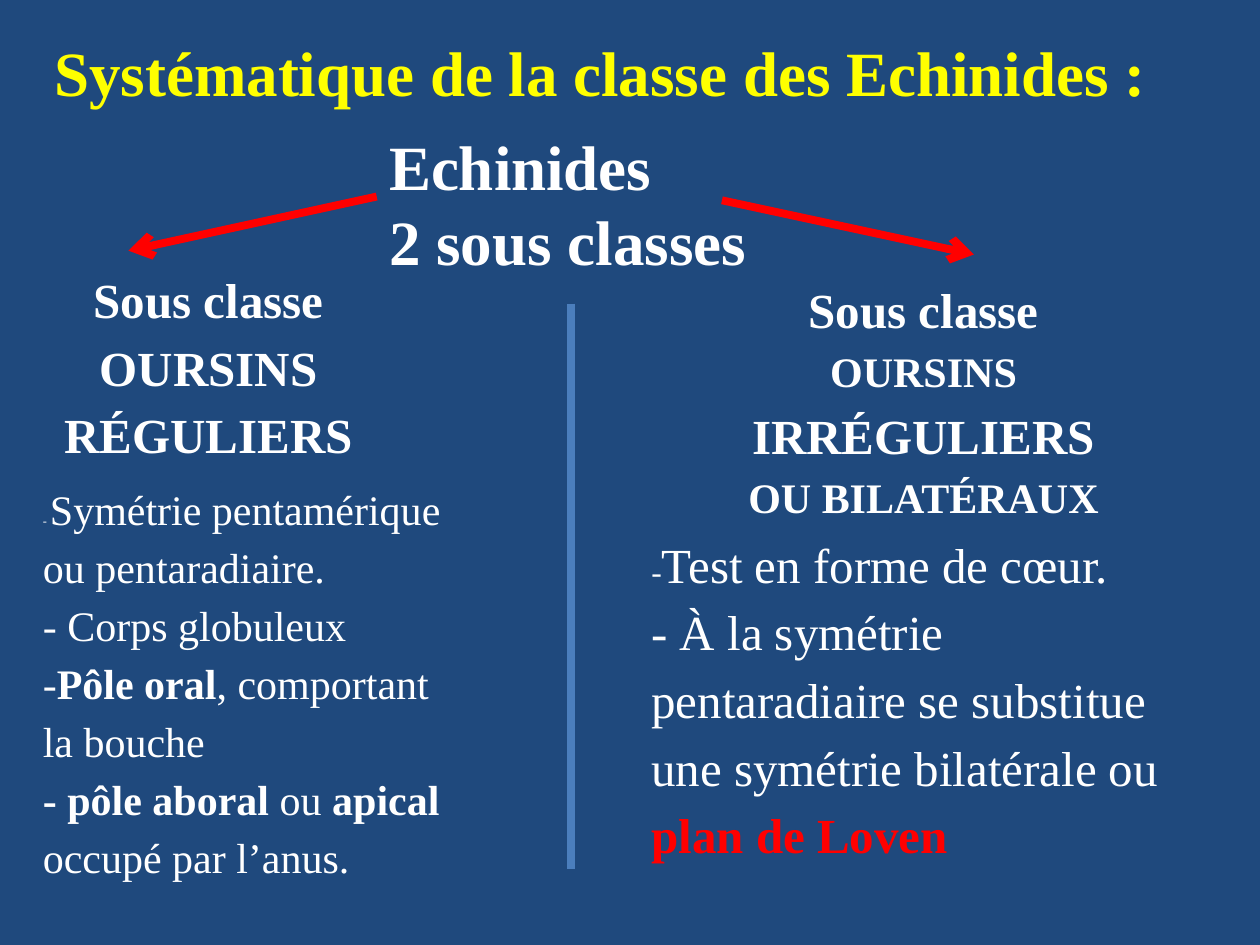
from dataclasses import dataclass

from lxml.etree import SubElement
from pptx import Presentation
from pptx.dml.color import RGBColor
from pptx.enum.shapes import MSO_CONNECTOR as Connector
from pptx.enum.text import MSO_ANCHOR as Anchor, MSO_AUTO_SIZE as AutoSize, PP_ALIGN as Align
from pptx.oxml.ns import qn
from pptx.util import Inches, Pt


@dataclass(frozen=True)
class Theme:
    font: str = "Times New Roman"
    background: RGBColor = RGBColor(0x1F, 0x49, 0x7D)
    text: RGBColor = RGBColor(0xFF, 0xFF, 0xFF)
    title: RGBColor = RGBColor(0xFF, 0xFF, 0x00)
    accent: RGBColor = RGBColor(0xFF, 0x00, 0x00)
    divider: RGBColor = RGBColor(0x4B, 0x7E, 0xBC)
    title_size: int = 36
    large: int = 28
    medium: int = 24
    dash: int = 18
    small_dash: int = 7
    line_width: float = 4.5
    spacing: float = 1.15


class SlideBuilder:
    def __init__(self, slide, theme):
        self.slide = slide
        self.theme = theme
        slide.background.fill.solid()
        slide.background.fill.fore_color.rgb = theme.background

    def fill_text(self, shape, bounds, paragraphs, size, color=None, bold=False,
                  align=Align.LEFT, spacing=1.0, anchor=Anchor.TOP):
        """Place a shape and fill it; each paragraph is a list of (text, font overrides) runs."""
        shape.left, shape.top, shape.width, shape.height = map(Inches, bounds)
        frame = shape.text_frame
        frame.word_wrap = True
        frame.auto_size = AutoSize.NONE
        frame.vertical_anchor = anchor
        for index, runs in enumerate(paragraphs):
            para = frame.add_paragraph() if index else frame.paragraphs[0]
            para.alignment = align
            para.line_spacing = spacing
            para.space_before = Pt(0)
            if shape.is_placeholder:
                properties = para._p.get_or_add_pPr()
                properties.set("marL", "0")
                properties.set("indent", "0")
                SubElement(properties, qn("a:buNone"))
            font = para.font
            font.name, font.size, font.bold = self.theme.font, Pt(size), bold
            font.color.rgb = color or self.theme.text
            for text, style in runs:
                span = para.add_run()
                span.text = text
                if "size" in style:
                    span.font.size = Pt(style["size"])
                if "bold" in style:
                    span.font.bold = style["bold"]
                if "color" in style:
                    span.font.color.rgb = style["color"]

    def title(self, bounds, text):
        self.fill_text(self.slide.shapes.title, bounds, [[(text, {})]], self.theme.title_size,
                       self.theme.title, True, anchor=Anchor.MIDDLE)

    def heading(self, bounds, paragraphs, size, **style):
        box = self.slide.shapes.add_textbox(*map(Inches, bounds))
        self.fill_text(box, bounds, paragraphs, size, bold=True, **style)

    def body(self, index, bounds, paragraphs, size):
        self.fill_text(self.slide.placeholders[index], bounds, paragraphs, size,
                       spacing=self.theme.spacing)

    def line(self, start, end, color, arrow=False):
        line = self.slide.shapes.add_connector(
            Connector.STRAIGHT, *map(Inches, (*start, *end)))
        line.line.color.rgb = color
        line.line.width = Pt(self.theme.line_width)
        if arrow:
            outline = line._element.spPr.find(qn("a:ln"))
            SubElement(outline, qn("a:tailEnd"), type="arrow")
        SubElement(line._element.spPr, qn("a:effectLst"))


def main():
    theme = Theme()
    deck = Presentation()
    deck.slide_width, deck.slide_height = Inches(10), Inches(7.5)
    two_content = deck.slide_layouts[3]
    page = SlideBuilder(deck.slides.add_slide(two_content), theme)
    strong = {"bold": True}
    medium = {"size": theme.medium}
    centred = {"align": Align.CENTER, "spacing": theme.spacing}

    page.title((0.33, 0.21, 8.95, 0.71), "Systématique de la classe des Echinides :")
    page.heading((2.99, 0.96, 3.9, 1.31),
                 [[("Echinides", {})], [("2 sous classes", {})]], theme.title_size)
    page.line((2.99, 1.56), (1.02, 1.99), theme.accent, arrow=True)
    page.line((5.73, 1.59), (7.73, 2.02), theme.accent, arrow=True)
    page.line((4.53, 2.41), (4.53, 6.9), theme.divider)

    page.heading((0, 2.02, 3.31, 1.69),
                 [[("Sous classe", {})], [("OURSINS RÉGULIERS", {})]],
                 theme.large, **centred)
    page.heading((5.73, 2.1, 3.2, 2.11), [
        [("Sous classe ", {}), ("OURSINS ", medium), ("IRRÉGULIERS", {})],
        [("OU BILATÉRAUX", medium)],
    ], theme.large, **centred)

    page.body(1, (0.24, 3.73, 3.54, 3.68), [
        [("- ", {"size": theme.small_dash}), ("Symétrie pentamérique ou pentaradiaire.", {})],
        [("- Corps globuleux", {})],
        [("-", {}), ("Pôle oral", strong), (", comportant la bouche", {})],
        [("- pôle aboral ", strong), ("ou ", {}), ("apical", strong),
         (" occupé par l’anus.", {})],
    ], theme.medium)
    page.body(2, (5.07, 4.12, 4.54, 2.78), [
        [("-", {"size": theme.dash}), ("Test en forme de cœur.", {})],
        [("- À la symétrie pentaradiaire se substitue une symétrie bilatérale ou ", {}),
         ("plan de Loven", {"bold": True, "color": theme.accent})],
    ], theme.large)
    deck.save("out.pptx")


if __name__ == "__main__":
    main()
